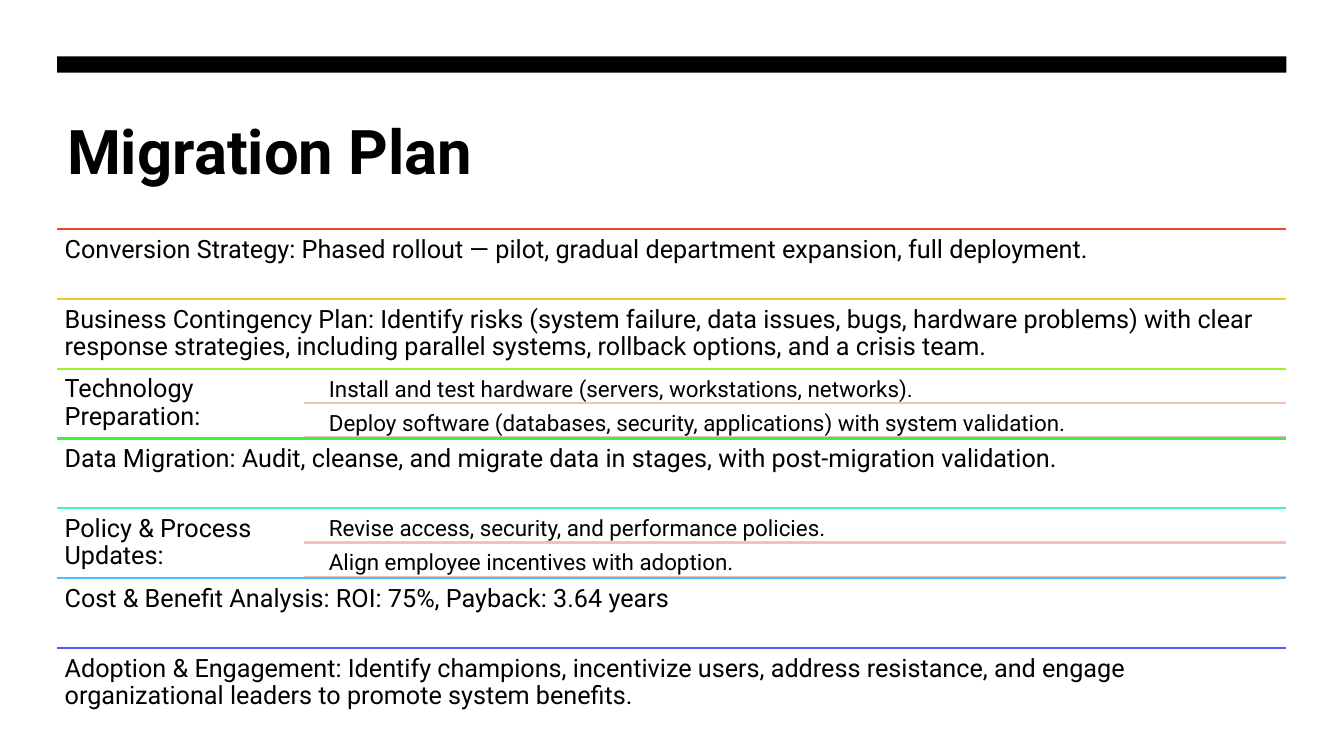
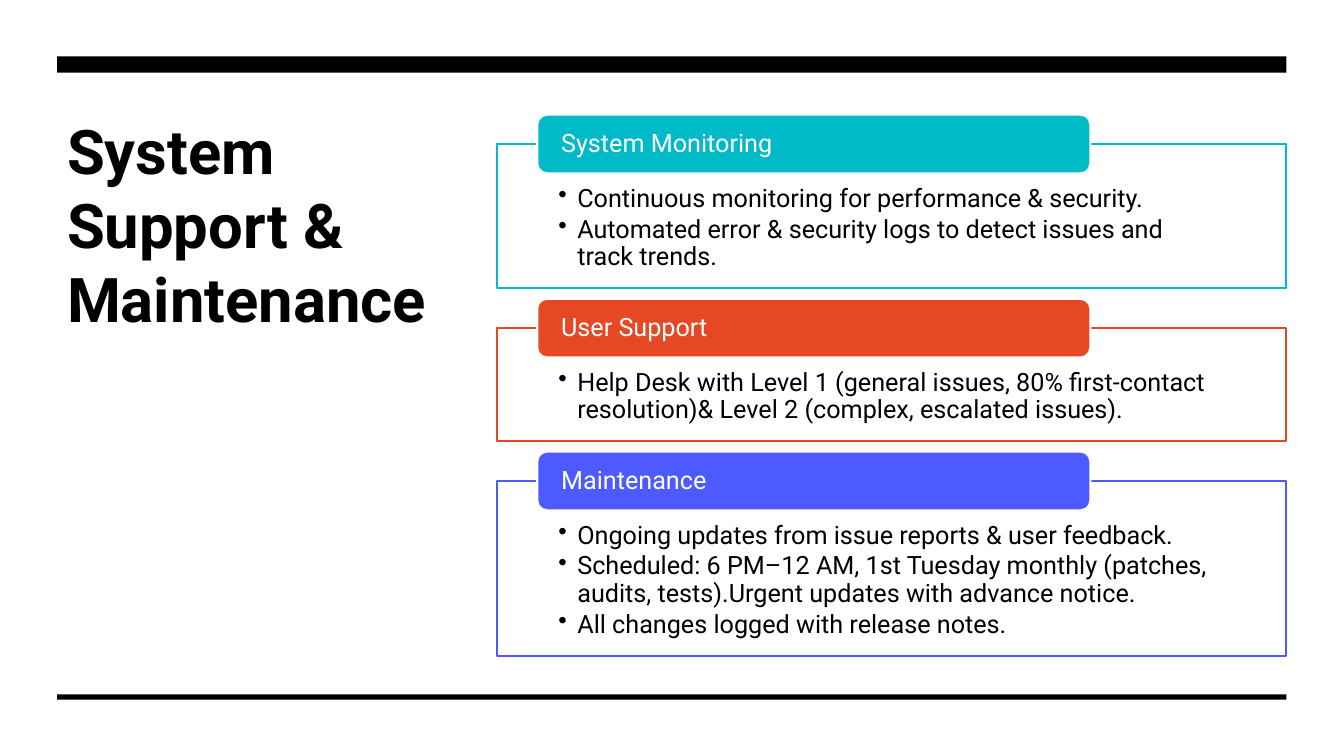
from dataclasses import dataclass

from lxml import etree
from pptx import Presentation
from pptx.dml.color import RGBColor
from pptx.enum.shapes import MSO_CONNECTOR, MSO_SHAPE
from pptx.enum.text import MSO_ANCHOR, MSO_AUTO_SIZE, PP_ALIGN
from pptx.oxml.ns import qn
from pptx.util import Cm, Pt

RECT = MSO_SHAPE.RECTANGLE
ROUNDED = MSO_SHAPE.ROUNDED_RECTANGLE
STRAIGHT = MSO_CONNECTOR.STRAIGHT
TOP, MIDDLE = MSO_ANCHOR.TOP, MSO_ANCHOR.MIDDLE
LEFT = PP_ALIGN.LEFT
NO_AUTOFIT = MSO_AUTO_SIZE.NONE
TITLE_ONLY = 5


@dataclass(frozen=True)
class Theme:
    font: str = "Roboto"
    ink: str = "000000"
    paper: str = "FFFFFF"
    teal: str = "00BAC8"
    red: str = "E64823"
    yellow: str = "EBC729"
    lime: str = "9CF02F"
    green: str = "36F441"
    mint: str = "3DF8BD"
    sky: str = "45C4FC"
    blue: str = "4D5AFF"
    pink: str = "F3C1BD"
    title_size: float = 44
    body_size: float = 18
    detail_size: float = 16
    line_width: float = 1.5


THEME = Theme()

# Page frame shared by both slides, in centimetres
MARGIN, CONTENT_WIDTH = 1.44, 30.98
RIGHT_EDGE = MARGIN + CONTENT_WIDTH

# Migration plan: rule colour, text, details
PLAN_ROWS = [
    (THEME.red, "Conversion Strategy: Phased rollout — pilot, gradual department "
     "expansion, full deployment.", []),
    (THEME.yellow, "Business Contingency Plan: Identify risks (system failure, data "
     "issues, bugs, hardware problems) with clear response strategies, including "
     "parallel systems, rollback options, and a crisis team.", []),
    (THEME.lime, "Technology Preparation:",
     ["Install and test hardware (servers, workstations, networks).",
      "Deploy software (databases, security, applications) with system validation."]),
    (THEME.green, "Data Migration: Audit, cleanse, and migrate data in stages, with "
     "post-migration validation.", []),
    (THEME.mint, "Policy & Process Updates:",
     ["Revise access, security, and performance policies.",
      "Align employee incentives with adoption."]),
    (THEME.sky, "Cost & Benefit Analysis: ROI: 75%, Payback: 3.64 years", []),
    (THEME.blue, "Adoption & Engagement: Identify champions, incentivize users, address "
     "resistance, and engage organizational leaders to promote system benefits.", []),
]

# Support cards: colour, heading, frame height, bullets
SUPPORT_CARDS = [
    (THEME.teal, "System Monitoring", 3.63,
     ["Continuous monitoring for performance & security.",
      "Automated error & security logs to detect issues and track trends."]),
    (THEME.red, "User Support", 2.84,
     ["Help Desk with Level 1 (general issues, 80% first-contact resolution)& Level 2 "
      "(complex, escalated issues)."]),
    (THEME.blue, "Maintenance", 4.42,
     ["Ongoing updates from issue reports & user feedback.",
      "Scheduled: 6 PM–12 AM, 1st Tuesday monthly (patches, audits, tests).Urgent "
      "updates with advance notice.",
      "All changes logged with release notes."]),
]


def rgb(value):
    return RGBColor.from_string(value)


def add_bullet(paragraph, indent=0.48):
    properties = paragraph._p.get_or_add_pPr()
    properties.set("marL", str(Cm(indent)))
    properties.set("indent", str(-Cm(indent)))
    etree.SubElement(properties, qn("a:buChar")).set("char", "•")


def write_text(frame, paragraphs, *, size=THEME.body_size, color=THEME.ink, bold=False,
               spacing=0.9, after=0, insets=(0.19, 0.19, 0.19, 0.19), anchor=TOP,
               bulleted=False):
    """Fill a text frame; insets are left, top, right, bottom in centimetres."""
    frame.word_wrap = True
    frame.auto_size = NO_AUTOFIT
    frame.vertical_anchor = anchor
    (frame.margin_left, frame.margin_top,
     frame.margin_right, frame.margin_bottom) = map(Cm, insets)
    for index, text in enumerate(paragraphs):
        paragraph = frame.add_paragraph() if index else frame.paragraphs[0]
        paragraph.alignment = LEFT
        paragraph.line_spacing = spacing
        paragraph.space_after = Pt(after)
        if bulleted:
            add_bullet(paragraph)
        run = paragraph.add_run()
        run.text = text
        run.font.name = THEME.font
        run.font.size = Pt(size)
        run.font.bold = bold
        run.font.color.rgb = rgb(color)


def add_text(slide, left, top, width, height, text, **text_format):
    box = slide.shapes.add_textbox(Cm(left), Cm(top), Cm(width), Cm(height))
    write_text(box.text_frame, [text], **text_format)


def add_panel(slide, kind, left, top, width, height, fill, outline=None):
    panel = slide.shapes.add_shape(kind, Cm(left), Cm(top), Cm(width), Cm(height))
    panel.shadow.inherit = False
    panel.fill.solid()
    panel.fill.fore_color.rgb = rgb(fill)
    if outline:
        panel.line.color.rgb = rgb(outline)
        panel.line.width = Pt(THEME.line_width)
    else:
        panel.line.fill.background()
    return panel


def add_rule(slide, left, top, color):
    """Draw a horizontal rule from left to the right edge of the content."""
    rule = slide.shapes.add_connector(STRAIGHT, Cm(left), Cm(top), Cm(RIGHT_EDGE), Cm(top))
    rule.line.color.rgb = rgb(color)
    rule.line.width = Pt(THEME.line_width)
    etree.SubElement(rule._element.spPr, qn("a:effectLst"))


def add_band(slide, top, height):
    add_panel(slide, RECT, MARGIN, top, CONTENT_WIDTH, height, THEME.ink)


def add_titled_slide(deck, title_text, title_width, title_height):
    slide = deck.slides.add_slide(deck.slide_layouts[TITLE_ONLY])
    title = slide.shapes.title
    title.left, title.top = Cm(MARGIN), Cm(2.72)
    title.width, title.height = Cm(title_width), Cm(title_height)
    write_text(title.text_frame, [title_text], size=THEME.title_size, bold=True,
               spacing=1.0, insets=(0.25, 0.13, 0.25, 0.13))
    add_band(slide, 1.42, 0.41)
    return slide


def add_plan_row(slide, top, height, color, text, details):
    detail_left, detail_indent, detail_pitch = 7.65, 0.45, 0.86
    add_rule(slide, MARGIN, top, color)
    text_width = detail_left - MARGIN if details else CONTENT_WIDTH
    add_text(slide, MARGIN, top, text_width, height, text)
    for index, detail in enumerate(details):
        detail_top = top + index * detail_pitch
        text_left = detail_left + detail_indent
        add_text(slide, text_left, detail_top + 0.04, RIGHT_EDGE - text_left, 0.82,
                 detail, size=THEME.detail_size)
        add_rule(slide, detail_left, detail_top + detail_pitch, THEME.pink)


def add_support_card(slide, top, color, heading, height, bullets):
    left = 12.52
    body = add_panel(slide, RECT, left, top, RIGHT_EDGE - left, height, THEME.paper, color)
    write_text(body.text_frame, bullets, after=2.7, insets=(1.55, 1.04, 1.55, 0.36),
               bulleted=True)
    tab = add_panel(slide, ROUNDED, left + 1.02, top - 0.74, 13.94, 1.48, color, THEME.paper)
    write_text(tab.text_frame, [heading], color=THEME.paper, anchor=MIDDLE,
               insets=(0.53, 0, 0.53, 0))


def build_migration_plan(deck):
    slide = add_titled_slide(deck, "Migration Plan", CONTENT_WIDTH, 2.46)
    first_top, row_height = 5.77, 1.76
    for index, row in enumerate(PLAN_ROWS):
        add_plan_row(slide, first_top + index * row_height, row_height, *row)


def build_support(deck):
    slide = add_titled_slide(deck, "System Support & Maintenance", 10.69, 9.35)
    add_band(slide, 17.5, 0.13)
    top, gap = 3.63, 1.01
    for color, heading, height, bullets in SUPPORT_CARDS:
        add_support_card(slide, top, color, heading, height, bullets)
        top += height + gap


def main():
    deck = Presentation()
    deck.slide_width, deck.slide_height = Cm(33.87), Cm(19.05)
    build_migration_plan(deck)
    build_support(deck)
    deck.save("out.pptx")


if __name__ == "__main__":
    main()
